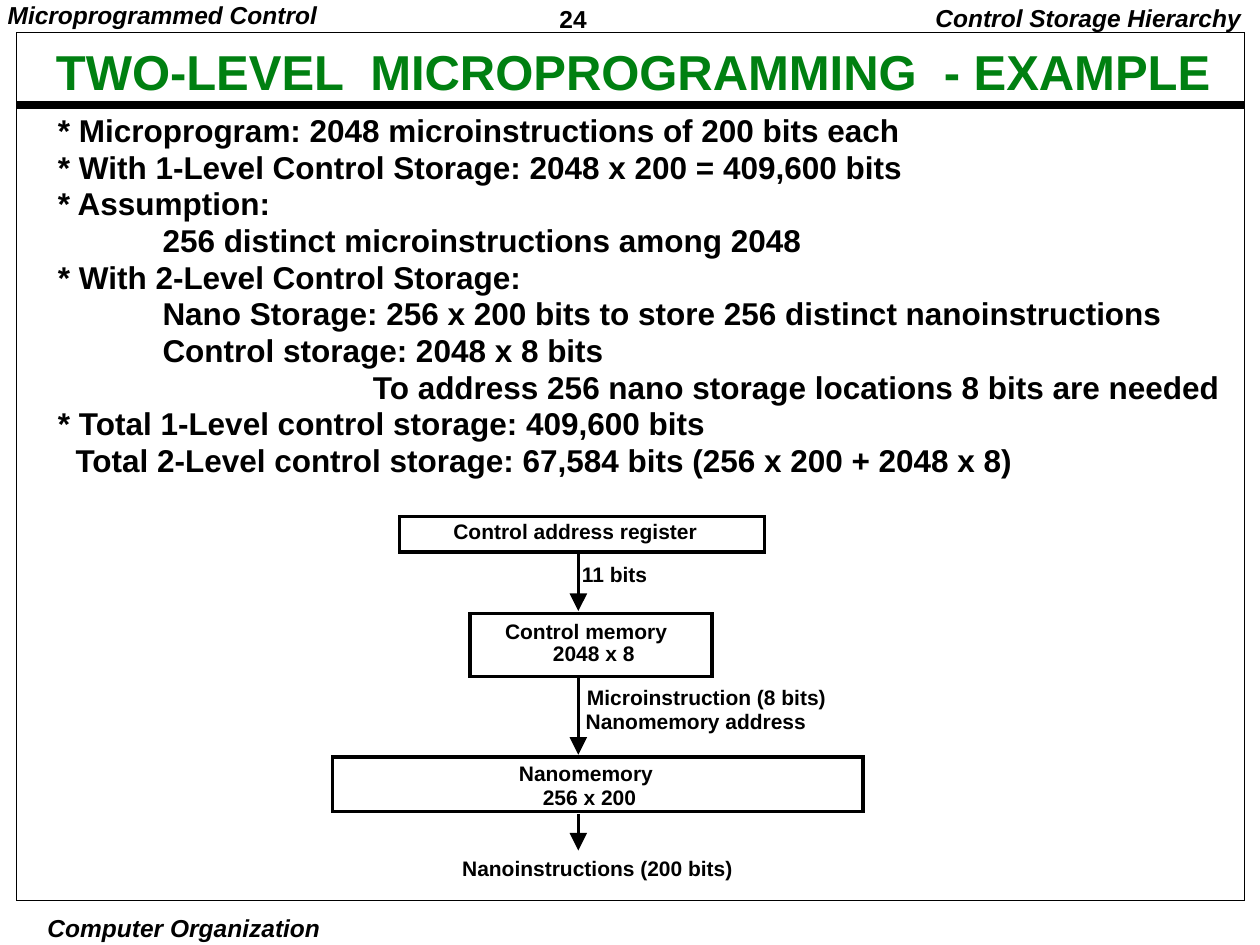
from pptx import Presentation
from pptx import util as u
from pptx.dml.color import RGBColor
from pptx.enum import shapes, text
from pptx.oxml.ns import qn
from lxml import etree

BLACK, GREEN = "000000", "008011"
ALIGN, ANCHOR = text.PP_ALIGN, text.MSO_ANCHOR

# Content: body lines are (indent, text)
TITLE = "TWO-LEVEL  MICROPROGRAMMING  - EXAMPLE"
BODY = [
    (0, "* Microprogram: 2048 microinstructions of 200 bits each"),
    (0, "* With 1-Level Control Storage: 2048 x 200 = 409,600 bits"),
    (0, "* Assumption:"),
    (0.83, "256 distinct microinstructions among 2048"),
    (0, "* With 2-Level Control Storage:"),
    (0.83, "Nano Storage: 256 x 200 bits to store 256 distinct nanoinstructions"),
    (0.83, "Control storage: 2048 x 8 bits"),
    (2.5, "To address 256 nano storage locations 8 bits are needed"),
    (0, "* Total 1-Level control storage: 409,600 bits"),
    (0.14, "Total 2-Level control storage: 67,584 bits (256 x 200 + 2048 x 8)"),
]
# Header and footer: text, box, insets, format, italic
RUNNING = [
    ("24", (4.37, 0, 1.08, 0.29), (0.07, 0.03), dict(line_spacing=1.01), False),
    ("Microprogrammed Control", (-0.01, 0, 2.65, 0.27), (0.07, 0.03),
     dict(line_spacing=0.9), True),
    ("Computer Organization", (0.31, 7.24, 2.3, 0.26), (0.03, 0.01),
     dict(alignment=ALIGN.CENTER), True),
    ("Control Storage Hierarchy", (7.25, 0, 2.7, 0.31), (0.1, 0.05),
     dict(alignment=ALIGN.RIGHT, line_spacing=0.9), True),
]
# Diagram: boxes, arrow spans on one axis, labels with left, top, width
BOXES = [(3.17, 4.1, 2.9, 0.28), (3.73, 4.87, 1.92, 0.5), (2.64, 6.01, 4.21, 0.43)]
ARROW_X = 4.59
ARROWS = [(4.38, 4.85), (5.37, 5.99), (6.46, 6.75)]
LABELS = [
    ("Control address register", 3.5, 4.09, 2.2),
    ("11 bits", 4.52, 4.43, 0.8),
    ("Control memory", 3.91, 4.88, 1.55),
    ("2048 x 8", 4.29, 5.06, 0.9),
    ("Microinstruction (8 bits)", 4.56, 5.41, 2.15),
    ("Nanomemory address", 4.55, 5.6, 2),
    ("Nanomemory", 4.02, 6.01, 1.35),
    ("256 x 200", 4.21, 6.2, 1),
    ("Nanoinstructions (200 bits)", 3.57, 6.76, 2.4),
]


def color(value):
    return RGBColor.from_string(value)


def apply(target, values):
    for name, value in values.items():
        setattr(target, name, value)


def add_text(lines, box, insets, size, paragraph_format,
             fill=BLACK, italic=None, anchor=ANCHOR.TOP):
    shape = slide.shapes.add_textbox(*map(u.Inches, box))
    frame = shape.text_frame
    side, end = map(u.Inches, insets)
    apply(frame, dict(margin_left=side, margin_right=side, margin_top=end,
                      margin_bottom=end, word_wrap=True, vertical_anchor=anchor,
                      auto_size=text.MSO_AUTO_SIZE.NONE))
    for index, (indent, words) in enumerate(lines):
        paragraph = frame.add_paragraph() if index else frame.paragraphs[0]
        apply(paragraph, paragraph_format)
        if indent:
            paragraph._p.get_or_add_pPr().set("marL", str(u.Inches(indent)))
        run = paragraph.add_run()
        run.text = words
        apply(run.font, dict(name="Arial", size=u.Pt(size), bold=True, italic=italic))
        run.font.color.rgb = color(fill)


def add_box(box, width):
    shape = slide.shapes.add_shape(shapes.MSO_SHAPE.RECTANGLE, *map(u.Inches, box))
    shape.shadow.inherit = False
    shape.fill.background()
    shape.line.color.rgb = color(BLACK)
    shape.line.width = u.Pt(width)
    etree.SubElement(shape._element.spPr.find(qn("a:ln")), qn("a:miter"), lim="800000")


def add_line(x1, y1, x2, y2, width, arrow=False):
    line = slide.shapes.add_connector(shapes.MSO_CONNECTOR.STRAIGHT,
                                      *map(u.Inches, (x1, y1, x2, y2)))
    line.line.color.rgb = color(BLACK)
    line.line.width = u.Pt(width)
    properties = line._element.spPr
    if arrow:
        etree.SubElement(properties.find(qn("a:ln")), qn("a:tailEnd"),
                         type="triangle", w="lg", len="lg")
    etree.SubElement(properties, qn("a:effectLst"))


presentation = Presentation()
apply(presentation, dict(slide_width=u.Inches(10), slide_height=u.Inches(7.5)))
slide = presentation.slides.add_slide(presentation.slide_layouts[6])

# Frame, header and footer
for words, box, insets, paragraph_format, italic in RUNNING:
    add_text([(0, words)], box, insets, 14, paragraph_format, italic=italic)
add_line(0.13, 0.83, 9.87, 0.83, 4.5)
add_box((0.13, 0.26, 9.75, 6.89), 0.5)

# Title and body
add_text([(0, TITLE)], (0.3, 0.38, 9.45, 0.43), (0.07, 0.03), 28,
         dict(alignment=ALIGN.CENTER, line_spacing=0.9),
         fill=GREEN, anchor=ANCHOR.MIDDLE)
add_text(BODY, (0.39, 0.87, 9.4, 2.97), (0.07, 0.03), 18, dict(line_spacing=0.97))

# Diagram
for box in BOXES:
    add_box(box, 2)
for start, end in ARROWS:
    add_line(ARROW_X, start, ARROW_X, end, 2, arrow=True)
for words, left, top, width in LABELS:
    add_text([(0, words)], (left, top, width, 0.28), (0.1, 0.05), 12,
             dict(line_spacing=0.9))

presentation.save("out.pptx")
